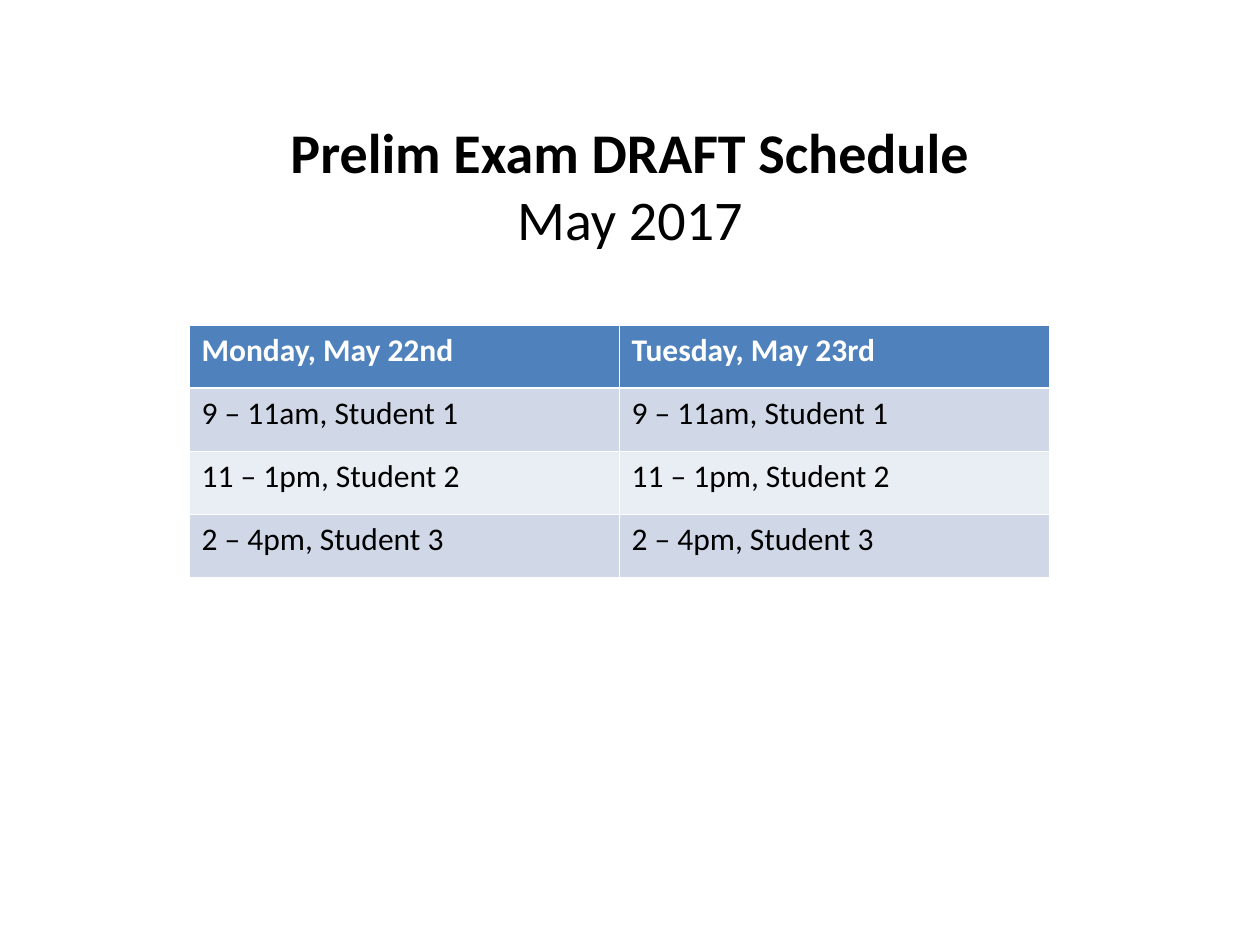
from dataclasses import dataclass

from lxml import etree
from pptx import Presentation
from pptx import util as u
from pptx.dml.color import RGBColor
from pptx.enum import text
from pptx.oxml import ns

TITLE = [("Prelim Exam DRAFT Schedule", True), ("May 2017", False)]
SCHEDULE = [
    ("Monday, May 22nd", "Tuesday, May 23rd"),
    ("9 – 11am, Student 1",) * 2,
    ("11 – 1pm, Student 2",) * 2,
    ("2 – 4pm, Student 3",) * 2,
]
TITLE_BOX = (277, 111, 706, 147)
TABLE_LEFT, TABLE_TOP = 189, 325
COLUMN_WIDTH, ROW_HEIGHT = 430, 63


@dataclass(frozen=True)
class Theme:
    font: str = "Calibri"
    title_size: int = 32
    cell_size: int = 18
    ink: str = "000000"
    white: str = "FFFFFF"
    header: str = "4F81BD"
    bands: tuple = ("D0D8E8", "E9EDF4")
    thin: float = 0.45
    thick: float = 1.47


THEME = Theme()


def px(length):
    return u.Emu(round(length * u.Inches(1) / 126))


def write(para, content, *, size, color=THEME.ink, bold=False, align=text.PP_ALIGN.LEFT):
    para.alignment = align
    span = para.add_run()
    span.text = content
    span.font.name = THEME.font
    span.font.size = u.Pt(size)
    span.font.bold = bold
    span.font.color.rgb = RGBColor.from_string(color)


def draw_borders(cell, **widths):
    properties = cell._tc.get_or_add_tcPr()
    for position, side in enumerate("LRTB"):
        width = u.Pt(widths.get(side, THEME.thin))
        line = etree.Element(ns.qn(f"a:ln{side}"), w=str(int(width)))
        fill = etree.SubElement(line, ns.qn("a:solidFill"))
        etree.SubElement(fill, ns.qn("a:srgbClr"), val=THEME.white)
        properties.insert(position, line)


def add_title(page):
    box = page.shapes.add_textbox(*map(px, TITLE_BOX))
    frame = box.text_frame
    frame.word_wrap = False
    frame.auto_size = text.MSO_AUTO_SIZE.SHAPE_TO_FIT_TEXT
    for index, (content, bold) in enumerate(TITLE):
        para = frame.add_paragraph() if index else frame.paragraphs[0]
        write(para, content, size=THEME.title_size, bold=bold, align=text.PP_ALIGN.CENTER)


def add_schedule(page):
    rows, columns = len(SCHEDULE), len(SCHEDULE[0])
    table = page.shapes.add_table(
        rows, columns, px(TABLE_LEFT), px(TABLE_TOP),
        px(columns * COLUMN_WIDTH), px(rows * ROW_HEIGHT),
    ).table
    for row, entries in enumerate(SCHEDULE):
        header = row == 0
        fill = THEME.header if header else THEME.bands[(row - 1) % 2]
        edges = {0: {"B": THEME.thick}, 1: {"T": THEME.thick}}.get(row, {})
        for column, content in enumerate(entries):
            cell = table.cell(row, column)
            cell.fill.solid()
            cell.fill.fore_color.rgb = RGBColor.from_string(fill)
            draw_borders(cell, **edges)
            write(
                cell.text_frame.paragraphs[0], content, size=THEME.cell_size,
                color=THEME.white if header else THEME.ink, bold=header,
            )


def main():
    deck = Presentation()
    deck.slide_width, deck.slide_height = px(1260), px(945)
    page = deck.slides.add_slide(deck.slide_layouts[6])
    add_title(page)
    add_schedule(page)
    deck.save("out.pptx")


if __name__ == "__main__":
    main()
